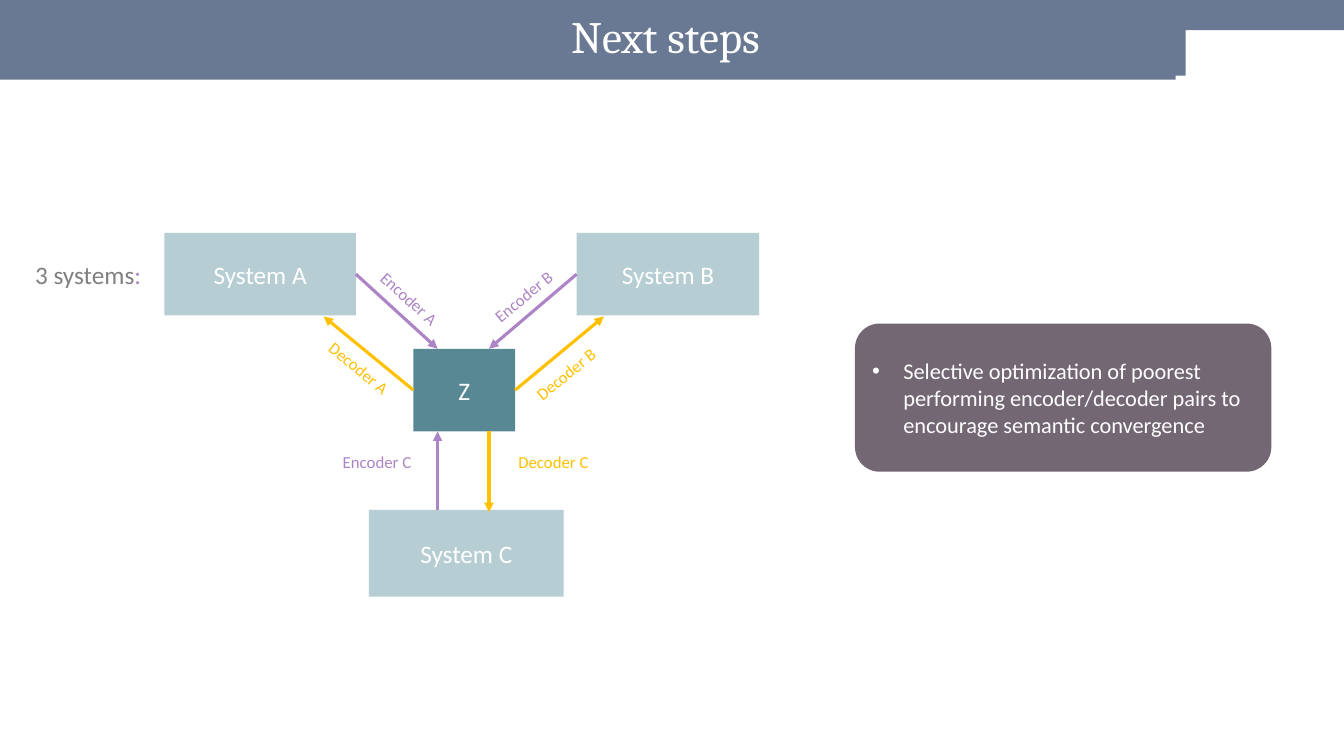
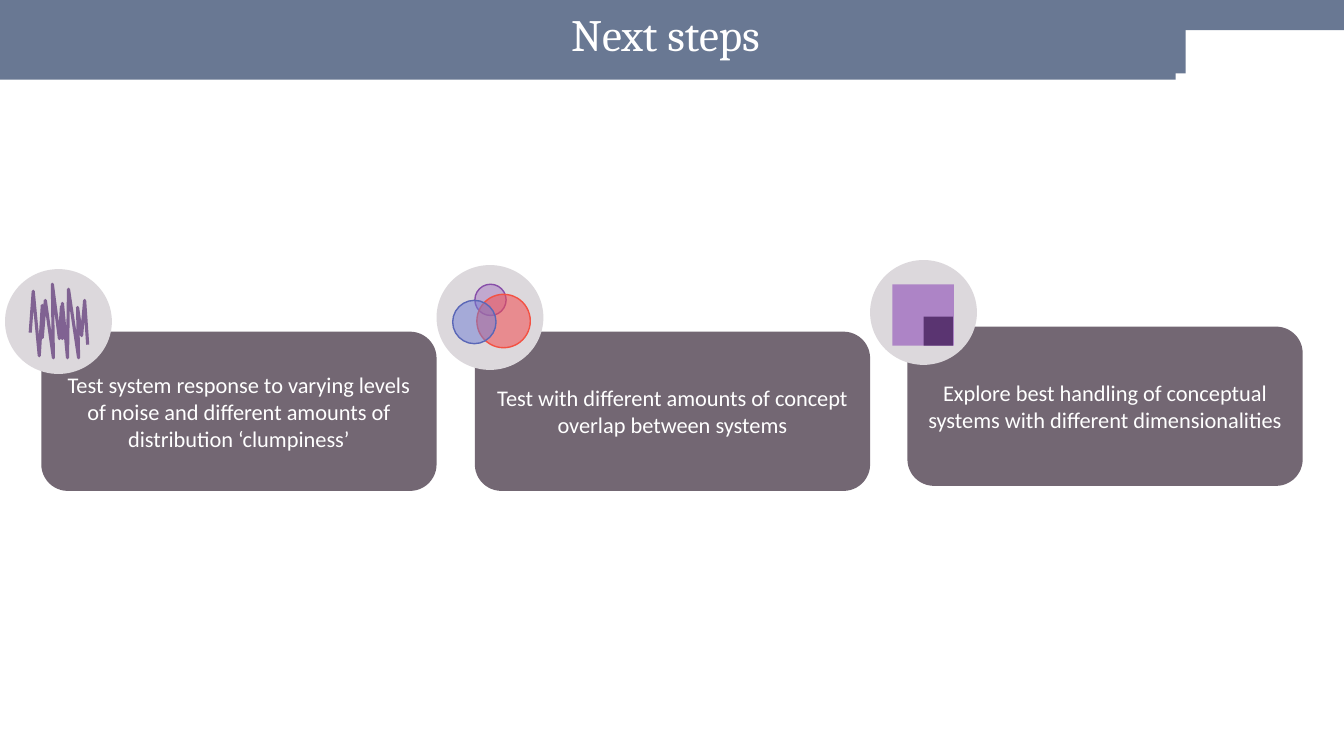
import dataclasses

import lxml.etree
import pptx
import pptx.dml.color
import pptx.enum.shapes
import pptx.enum.text
import pptx.oxml.ns
import pptx.shapes.autoshape
import pptx.slide
import pptx.util

Inches = pptx.util.Inches
RGBColor = pptx.dml.color.RGBColor
SHAPE = pptx.enum.shapes.MSO_SHAPE
ALIGN = pptx.enum.text.PP_ALIGN
MIDDLE = pptx.enum.text.MSO_ANCHOR.MIDDLE
qn = pptx.oxml.ns.qn
Slide = pptx.slide.Slide
Shape = pptx.shapes.autoshape.Shape

# Shared look
WHITE = RGBColor(0xFF, 0xFF, 0xFF)
GRAY = RGBColor(0x80, 0x80, 0x80)
SLATE = RGBColor(0x69, 0x78, 0x93)
MAUVE = RGBColor(0x73, 0x67, 0x73)
PALE_MAUVE = RGBColor(0xDC, 0xD8, 0xDC)
TEAL = RGBColor(0x58, 0x88, 0x94)
PALE_TEAL = RGBColor(0xB5, 0xCD, 0xD3)
LILAC = RGBColor(0xAD, 0x84, 0xC6)
GOLD = RGBColor(0xFF, 0xC0, 0x00)
WAVE_PURPLE = RGBColor(0x80, 0x62, 0x92)
DARK_PURPLE = RGBColor(0x5A, 0x34, 0x71)
VIOLET = RGBColor(0x87, 0x4E, 0xA9)
RED = RGBColor(0xF3, 0x4D, 0x50)
RED_EDGE = RGBColor(0xF3, 0x52, 0x44)
BLUE = RGBColor(0x6F, 0x7E, 0xD6)
BLUE_EDGE = RGBColor(0x5A, 0x67, 0xB7)
BODY_FONT, TITLE_FONT = "Calibri", "Cambria"


@dataclasses.dataclass(frozen=True)
class Box:
    left: float
    top: float
    width: float
    height: float

    def emu(self) -> tuple:
        return tuple(Inches(v) for v in dataclasses.astuple(self))


@dataclasses.dataclass(frozen=True)
class Node:
    text: str
    box: Box
    fill: RGBColor


@dataclasses.dataclass(frozen=True)
class Flow:
    """An arrow and the label beside it."""
    text: str
    color: RGBColor
    start: tuple[float, float]
    end: tuple[float, float]
    label_at: tuple[float, float]
    rotation: float = 0


@dataclasses.dataclass(frozen=True)
class Card:
    text: str
    left: float
    top: float
    badge_at: tuple[float, float]


@dataclasses.dataclass(frozen=True)
class Circle:
    left: float
    top: float
    size: float
    fill: RGBColor
    edge: RGBColor
    alpha: int


NODES = [
    Node("Z", Box(4.1, 3.46, 1.01, 0.82), TEAL),
    Node("System B", Box(5.72, 2.31, 1.81, 0.82), PALE_TEAL),
    Node("System A", Box(1.63, 2.31, 1.9, 0.82), PALE_TEAL),
    Node("System C", Box(3.66, 5.06, 1.93, 0.86), PALE_TEAL),
]
FLOWS = [
    Flow("Encoder C", LILAC, (4.34, 5.06), (4.34, 4.28), (2.94, 4.37)),
    Flow("Encoder A", LILAC, (3.53, 2.72), (4.34, 3.46), (3.26, 2.75), 42.2),
    Flow("Encoder B", LILAC, (5.72, 2.72), (4.85, 3.46), (4.39, 2.73), 320.8),
    Flow("Decoder C", GOLD, (4.85, 4.28), (4.85, 5.08), (4.69, 4.37)),
    Flow("Decoder A", GOLD, (4.1, 3.87), (3.21, 3.14), (2.76, 3.44), 39.6),
    Flow("Decoder B", GOLD, (5.11, 3.87), (5.99, 3.14), (4.81, 3.5), 320.7),
]
CARDS = [
    Card("Test system response to varying levels of noise and different "
         "amounts of distribution ‘clumpiness’", 0.41, 3.29, (0.05, 2.67)),
    Card("Test with different amounts of concept overlap between systems",
         4.71, 3.29, (4.33, 2.63)),
    Card("Explore best handling of conceptual systems with different "
         "dimensionalities", 9, 3.24, (8.63, 2.58)),
]
WAVE = [
    (0.3, 3.3), (0.33, 2.89), (0.39, 3.53), (0.42, 3.03), (0.42, 3.35),
    (0.45, 2.98), (0.53, 3.55), (0.52, 2.82), (0.59, 3.36), (0.61, 3.04),
    (0.62, 3.36), (0.62, 3.01), (0.67, 3.55), (0.68, 2.87), (0.78, 3.55),
    (0.77, 3.05), (0.81, 3.33), (0.84, 2.98), (0.87, 3.42),
]
CIRCLES = [
    Circle(4.71, 2.82, 0.31, LILAC, VIOLET, 56),
    Circle(4.73, 2.92, 0.53, RED, RED_EDGE, 55),
    Circle(4.49, 2.98, 0.43, BLUE, BLUE_EDGE, 50),
]


# Drawing helpers
def add_run(p, text: str, *, size: float, color: RGBColor,
            font: str = BODY_FONT) -> None:
    r = p.add_run()
    r.text = text
    r.font.size = pptx.util.Pt(size)
    r.font.name = font
    r.font.color.rgb = color


def write(s: Shape, text: str, *, size: float, color: RGBColor = WHITE,
          font: str = BODY_FONT, align=ALIGN.CENTER,
          line_spacing: float | None = None, bullet: bool = False):
    tf = s.text_frame
    tf.word_wrap = True
    tf.vertical_anchor = MIDDLE
    p = tf.paragraphs[0]
    p.alignment = align
    if line_spacing:
        p.line_spacing = line_spacing
    if bullet:
        pPr = p._p.get_or_add_pPr()
        pPr.set("marL", str(Inches(0.31)))
        pPr.set("indent", str(-Inches(0.31)))
        lxml.etree.SubElement(pPr, qn("a:buFont")).set("typeface", "Arial")
        lxml.etree.SubElement(pPr, qn("a:buChar")).set("char", "•")
    add_run(p, text, size=size, color=color, font=font)
    return p


def add_block(slide: Slide, kind, box: Box, fill: RGBColor,
              edge: RGBColor | None = None, alpha: int | None = None) -> Shape:
    s = slide.shapes.add_shape(kind, *box.emu())
    s.shadow.inherit = False
    s.fill.solid()
    s.fill.fore_color.rgb = fill
    if alpha is not None:
        color = s.element.spPr.find(qn("a:solidFill"))[0]
        lxml.etree.SubElement(color, qn("a:alpha")).set("val", str(alpha * 1000))
    if edge is None:
        s.line.fill.background()
    else:
        s.line.color.rgb = edge
        s.line.width = pptx.util.Pt(1)
    return s


def add_flow(slide: Slide, flow: Flow) -> None:
    points = [Inches(v) for v in flow.start + flow.end]
    line = slide.shapes.add_connector(
        pptx.enum.shapes.MSO_CONNECTOR.STRAIGHT, *points)
    line.line.color.rgb = flow.color
    line.line.width = pptx.util.Pt(2.25)
    spPr = line._element.spPr
    ln = spPr.find(qn("a:ln"))
    lxml.etree.SubElement(ln, qn("a:tailEnd")).set("type", "triangle")
    lxml.etree.SubElement(spPr, qn("a:effectLst"))


def add_label(slide: Slide, flow: Flow) -> None:
    sp = slide.shapes.add_textbox(*Box(*flow.label_at, 1.6, 0.42).emu())
    sp.rotation = flow.rotation
    write(sp, flow.text, size=12, color=flow.color)


def add_wave(slide: Slide) -> None:
    points = [(Inches(x), Inches(y)) for x, y in WAVE]
    builder = slide.shapes.build_freeform(*points[0])
    builder.add_line_segments(points[1:], close=False)
    s = builder.convert_to_shape()
    s.shadow.inherit = False
    s.fill.background()
    s.line.color.rgb = WAVE_PURPLE
    s.line.width = pptx.util.Pt(2.25)


def add_slide(prs, title: str, title_top: float) -> Slide:
    """Start a slide with the shared bands and title."""
    slide = prs.slides.add_slide(prs.slide_layouts[6])
    add_block(slide, SHAPE.RECTANGLE, Box(11.43, 0, 1.91, 0.3), SLATE)
    add_block(slide, SHAPE.RECTANGLE, Box(0, 0, 11.66, 0.79), SLATE)
    s = add_block(slide, SHAPE.RECTANGLE, Box(1.44, title_top, 10.32, 0.73), SLATE)
    write(s, title, size=32, font=TITLE_FONT, line_spacing=0.9)
    return slide


# Slides
def build_systems(prs) -> None:
    slide = add_slide(prs, "Next steps", 0.02)
    sp = slide.shapes.add_textbox(*Box(0.25, 2.36, 2.56, 0.72).emu())
    p = write(sp, "3 systems", size=18, color=GRAY, align=ALIGN.LEFT)
    add_run(p, ":", size=18, color=LILAC)

    # Encoder and decoder diagram
    for node in NODES:
        s = add_block(slide, SHAPE.RECTANGLE, node.box, node.fill)
        write(s, node.text, size=18)
    for flow in FLOWS:
        add_flow(slide, flow)
    for flow in FLOWS:
        add_label(slide, flow)

    # Takeaway
    s = add_block(slide, SHAPE.ROUNDED_RECTANGLE, Box(8.48, 3.21, 4.13, 1.47), MAUVE)
    write(s, "Selective optimization of poorest performing encoder/decoder "
          "pairs to encourage semantic convergence",
          size=16, align=ALIGN.LEFT, bullet=True)


def build_tests(prs) -> None:
    slide = add_slide(prs, "Next steps", 0)
    for card in CARDS:
        box = Box(card.left, card.top, 3.92, 1.58)
        s = add_block(slide, SHAPE.ROUNDED_RECTANGLE, box, MAUVE)
        write(s, card.text, size=16)
        add_block(slide, SHAPE.OVAL, Box(*card.badge_at, 1.06, 1.04), PALE_MAUVE)

    # Badge icons: noise, overlap, dimensions
    add_wave(slide)
    for c in CIRCLES:
        add_block(slide, SHAPE.OVAL, Box(c.left, c.top, c.size, c.size),
                  c.fill, c.edge, c.alpha)
    add_block(slide, SHAPE.RECTANGLE, Box(8.85, 2.82, 0.61, 0.61), LILAC)
    add_block(slide, SHAPE.RECTANGLE, Box(9.16, 3.14, 0.29, 0.29), DARK_PURPLE)


def main() -> None:
    prs = pptx.Presentation()
    prs.slide_width = Inches(13.33)
    prs.slide_height = Inches(7.5)
    build_systems(prs)
    build_tests(prs)
    prs.save("out.pptx")


if __name__ == "__main__":
    main()
